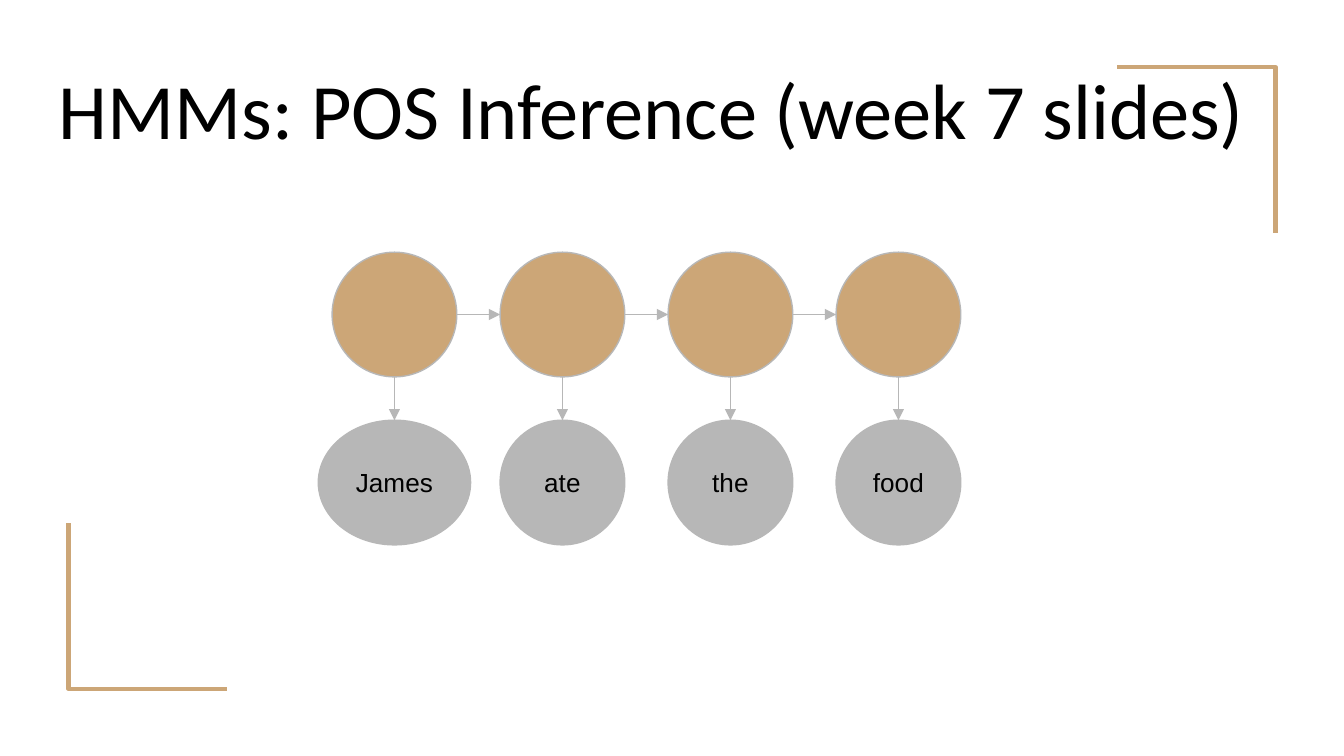
import pptx
import pptx.dml.color
import pptx.enum.shapes
import pptx.enum.text
import pptx.oxml
import pptx.oxml.ns
import pptx.util

Pt = pptx.util.Pt
WIDTH, HEIGHT = 720, 405
TAN, GRAY, BLACK = "CCA677", "B7B7B7", "000000"


def color(value):
    return pptx.dml.color.RGBColor.from_string(value)


def drawing_element(tag):
    return pptx.oxml.parse_xml(f'<a:{tag} {pptx.oxml.ns.nsdecls("a")}/>')


class Diagram:
    """Holds the shared style and the slide being drawn."""

    frame_format = {
        "word_wrap": True,
        "vertical_anchor": pptx.enum.text.MSO_ANCHOR.MIDDLE,
        "margin_left": Pt(7.2),
        "margin_right": Pt(7.2),
        "margin_top": Pt(7.2),
        "margin_bottom": Pt(7.2),
    }

    def __init__(self, slide):
        self.slide = slide

    def outline(self, shape, value, weight):
        shape.line.color.rgb = color(value)
        shape.line.width = Pt(weight)

    def label(self, shape, text, font, size, align):
        frame = shape.text_frame
        for name, value in self.frame_format.items():
            setattr(frame, name, value)
        paragraph = frame.paragraphs[0]
        paragraph.alignment = align
        run = paragraph.add_run()
        run.text = text
        for name, value in {"name": font, "size": Pt(size)}.items():
            setattr(run.font, name, value)
        run.font.color.rgb = color(BLACK)

    def title(self, text, left, top, width, height):
        box = self.slide.shapes.add_textbox(Pt(left), Pt(top), Pt(width), Pt(height))
        self.label(box, text, "Calibri", 42, pptx.enum.text.PP_ALIGN.LEFT)

    def bracket(self, points):
        start, *rest = [(Pt(x), Pt(y)) for x, y in points]
        builder = self.slide.shapes.build_freeform(*start)
        builder.add_line_segments(rest, close=False)
        corner = builder.convert_to_shape()
        corner.shadow.inherit = False
        corner.fill.background()
        self.outline(corner, TAN, 2.25)

    def node(self, center_x, center_y, width, height, fill, text=""):
        oval = self.slide.shapes.add_shape(
            pptx.enum.shapes.MSO_SHAPE.OVAL,
            Pt(center_x - width / 2), Pt(center_y - height / 2), Pt(width), Pt(height))
        oval.shadow.inherit = False
        oval.fill.solid()
        oval.fill.fore_color.rgb = color(fill)
        self.outline(oval, GRAY, 0.75)
        if text:
            self.label(oval, text, "Arial", 14, pptx.enum.text.PP_ALIGN.CENTER)

    def arrow(self, x1, y1, x2, y2):
        link = self.slide.shapes.add_connector(
            pptx.enum.shapes.MSO_CONNECTOR.STRAIGHT, Pt(x1), Pt(y1), Pt(x2), Pt(y2))
        self.outline(link, GRAY, 0.75)
        head = drawing_element("tailEnd")
        head.set("type", "triangle")
        properties = link.element.spPr
        properties.find(pptx.oxml.ns.qn("a:ln")).append(head)
        properties.append(drawing_element("effectLst"))


def main():
    deck = pptx.Presentation()
    deck.slide_width, deck.slide_height = Pt(WIDTH), Pt(HEIGHT)
    diagram = Diagram(deck.slides.add_slide(deck.slide_layouts[6]))

    top_right = [(683.3, 124.6), (683.3, 36), (598.3, 36)]
    diagram.bracket(top_right)
    diagram.bracket([(WIDTH - x, HEIGHT - y) for x, y in top_right])
    diagram.title("HMMs: POS Inference (week 7 slides)", 24.5, 25.2, 671, 65.5)

    diameter, pitch = 66.8, 90
    radius = diameter / 2
    first_x, state_y = 211.3, 168.5
    word_y = state_y + pitch
    words = ["James", "ate", "the", "food"]
    word_widths = {"James": 81.6}
    for index, word in enumerate(words):
        x = first_x + index * pitch
        diagram.node(x, state_y, diameter, diameter, TAN)
        diagram.node(x, word_y, word_widths.get(word, diameter), diameter, GRAY, word)
        diagram.arrow(x, state_y + radius, x, word_y - radius)
        if index:
            diagram.arrow(x - pitch + radius, state_y, x - radius, state_y)

    deck.save("out.pptx")


if __name__ == "__main__":
    main()
